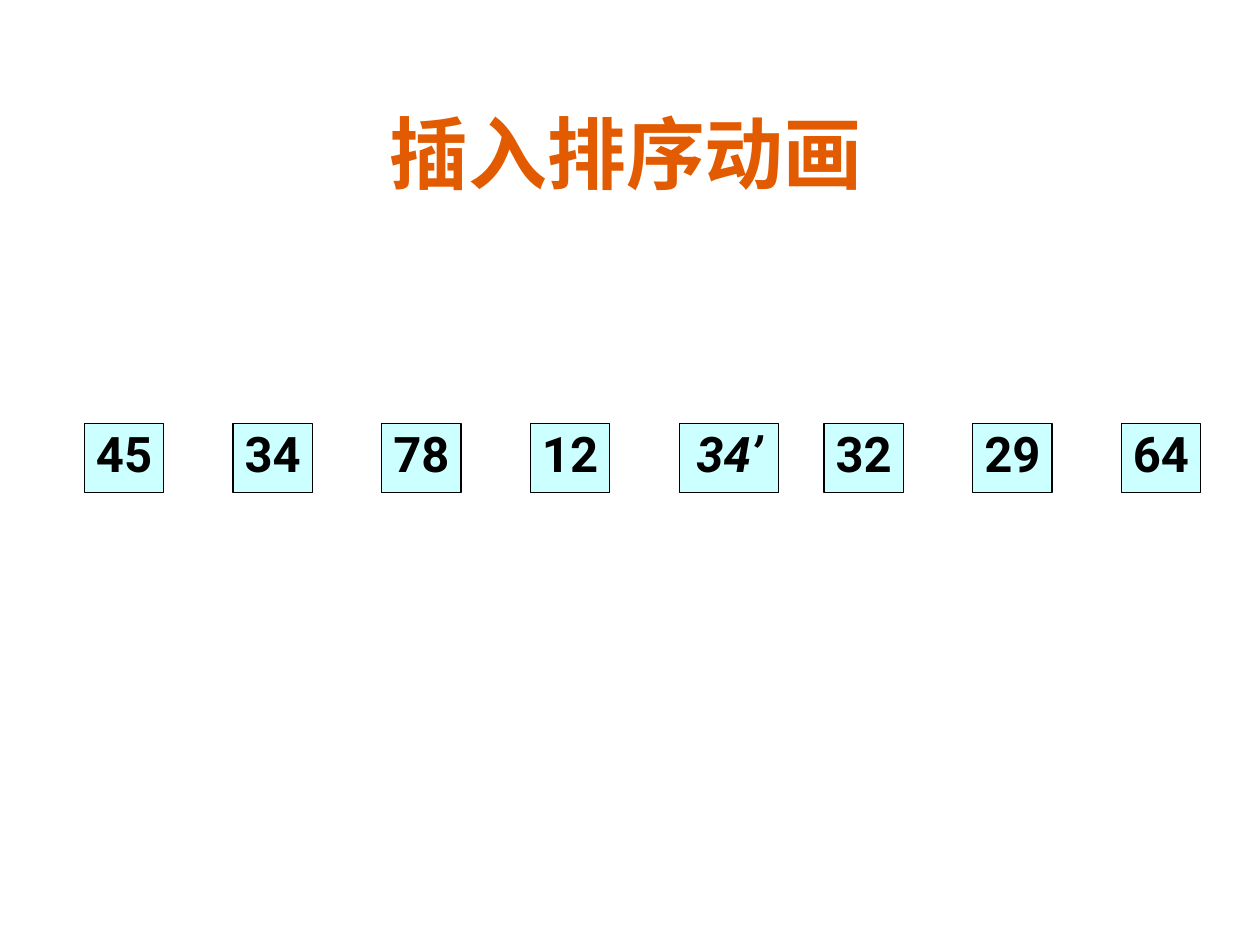
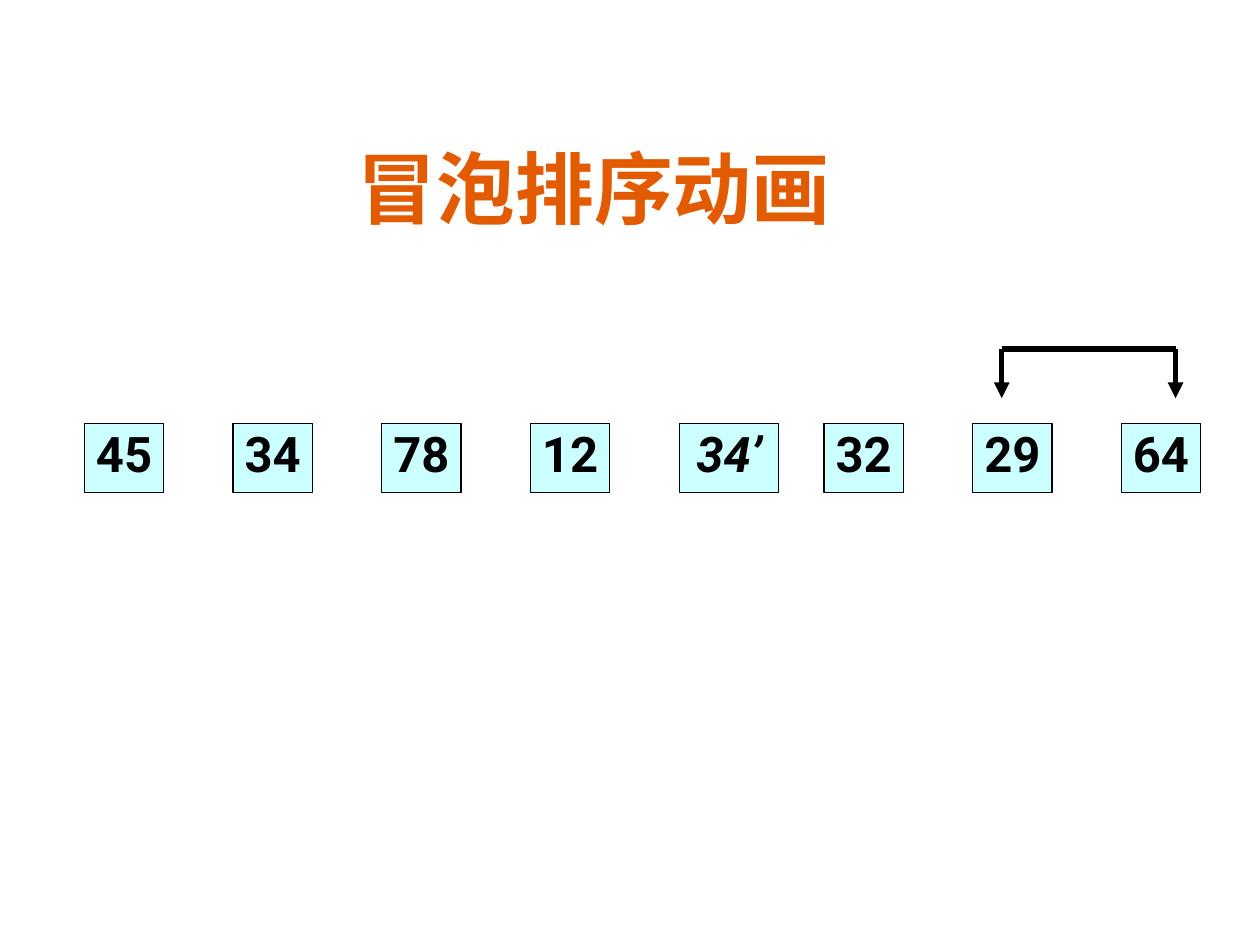
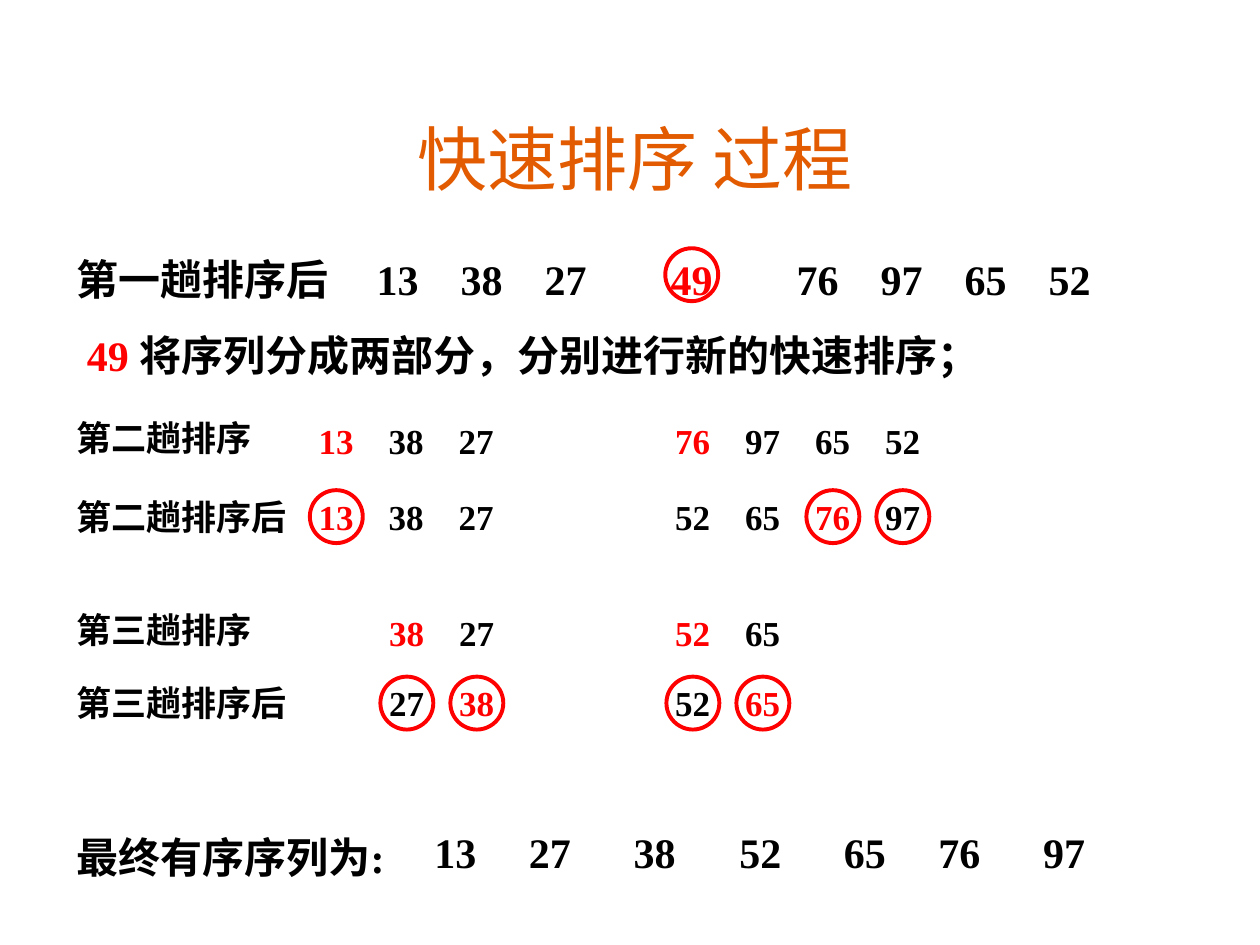
from dataclasses import dataclass

from lxml import etree
from pptx import Presentation
from pptx.dml.color import RGBColor
from pptx.enum.shapes import MSO_CONNECTOR, MSO_SHAPE
from pptx.enum.text import MSO_ANCHOR, MSO_AUTO_SIZE, PP_ALIGN
from pptx.oxml.ns import qn
from pptx.util import Inches, Pt

CENTER = PP_ALIGN.CENTER
BOTTOM, MIDDLE = MSO_ANCHOR.BOTTOM, MSO_ANCHOR.MIDDLE
GROW = MSO_AUTO_SIZE.SHAPE_TO_FIT_TEXT
RECTANGLE, OVAL = MSO_SHAPE.RECTANGLE, MSO_SHAPE.OVAL
STRAIGHT = MSO_CONNECTOR.STRAIGHT


@dataclass(frozen=True)
class Theme:
    title: RGBColor = RGBColor(0xE2, 0x5B, 0x00)
    ink: RGBColor = RGBColor(0, 0, 0)
    pivot: RGBColor = RGBColor(0xFF, 0, 0)
    cell: RGBColor = RGBColor(0xCC, 0xFF, 0xFF)
    title_font: str = "Comic Neue"
    cell_font: str = "Roboto"
    body_font: str = "Times New Roman"
    title_size: int = 45
    process_title_size: int = 40
    cell_size: int = 28
    large: int = 24
    small: int = 20


THEME = Theme()

# Row of values to be sorted
VALUES = ["45", "34", "78", "12", "34’", "32", "29", "64"]
CELL_LEFT, CELL_TOP, CELL_STEP = 0.67, 3.36, 1.18
CELL_WIDTH, WIDE_CELL_WIDTH, CELL_HEIGHT = 0.63, 0.79, 0.55
SHIFT_AFTER_WIDE = 0.03

# Columns of the sorting steps
LABEL_LEFT, LEFT_PART, RIGHT_PART = 0.51, 2.43, 5.26
LEFT_REST = 2.99
INSET = 0.1
RING = 0.42


def add_slide(deck):
    return deck.slides.add_slide(deck.slide_layouts[6])


def style_run(run, font, size, color, bold=True, italic=False):
    run.font.name = font
    run.font.size = Pt(size)
    run.font.color.rgb = color
    run.font.bold = bold
    run.font.italic = italic


def add_title(slide, text, top=0.75, left=0.75, width=8.58, height=0.83,
              size=THEME.title_size, bold=True):
    box = slide.shapes.add_textbox(*map(Inches, (left, top, width, height)))
    frame = box.text_frame
    frame.word_wrap = True
    frame.vertical_anchor = BOTTOM
    frame.margin_top = frame.margin_bottom = 0
    frame.text = text
    heading = frame.paragraphs[0]
    heading.alignment = CENTER
    style_run(heading.runs[0], THEME.title_font, size, THEME.title, bold)


def add_cell(slide, value, left, width):
    cell = slide.shapes.add_shape(
        RECTANGLE, *map(Inches, (left, CELL_TOP, width, CELL_HEIGHT)))
    cell.shadow.inherit = False
    cell.fill.solid()
    cell.fill.fore_color.rgb = THEME.cell
    cell.line.color.rgb = THEME.ink
    cell.line.width = Pt(0.75)
    frame = cell.text_frame
    frame.word_wrap = False
    frame.vertical_anchor = MIDDLE
    frame.text = value
    number = frame.paragraphs[0]
    number.alignment = CENTER
    number.line_spacing = 0.8
    number.space_before = Pt(7)
    style_run(number.runs[0], THEME.cell_font, THEME.cell_size, THEME.ink,
              italic=value.endswith("’"))


def add_value_row(slide):
    """Draw the unsorted values; the marked twin gets a wider cell."""
    wide = VALUES.index("34’")
    for column, value in enumerate(VALUES):
        left = CELL_LEFT + column * CELL_STEP
        if column > wide:
            left -= SHIFT_AFTER_WIDE
        add_cell(slide, value, left,
                 WIDE_CELL_WIDTH if column == wide else CELL_WIDTH)


def add_line(slide, start, end, arrow=False):
    line = slide.shapes.add_connector(STRAIGHT, *map(Inches, (*start, *end)))
    line.line.color.rgb = THEME.ink
    line.line.width = Pt(3)
    if arrow:
        etree.SubElement(line.line._get_or_add_ln(), qn("a:tailEnd"),
                         type="triangle")
    etree.SubElement(line._element.spPr, qn("a:effectLst"))


def add_swap_bracket(slide, left, right, top, bottom):
    add_line(slide, (left, top), (right, top))
    for x in (left, right):
        add_line(slide, (x, top), (x, bottom), arrow=True)


def add_text(slide, left, top, width, parts, size=THEME.small, stops=()):
    """Add one line of (text, colour) parts with tab stops in inches."""
    height = size / 60 + 0.1
    box = slide.shapes.add_textbox(*map(Inches, (left, top, width, height)))
    frame = box.text_frame
    frame.word_wrap = True
    frame.auto_size = GROW
    line = frame.paragraphs[0]
    line.space_before = Pt(size * 0.625)
    for text, color in parts:
        run = line.add_run()
        run.text = text
        style_run(run, THEME.body_font, size, color)
    if stops:
        tabs = etree.SubElement(line._p.get_or_add_pPr(), qn("a:tabLst"))
        for stop in stops:
            etree.SubElement(tabs, qn("a:tab"), pos=str(Inches(stop)),
                             algn="l")


def add_ring(slide, center, top):
    ring = slide.shapes.add_shape(
        OVAL, *map(Inches, (center - RING / 2, top, RING, RING)))
    ring.shadow.inherit = False
    ring.fill.background()
    ring.line.color.rgb = THEME.pivot
    ring.line.width = Pt(2.25)


def add_numbers(slide, left, top, width, numbers, pivots=(), ringed=(),
                size=THEME.small, columns=None, label=""):
    """Set numbers on tab stops, pivots in red, ringed ones in a circle."""
    digits = size / 72
    stops = columns or [2 * digits * i for i in range(len(numbers))]
    parts = [(label, THEME.ink)] if label else []
    for index, number in enumerate(numbers):
        tab = "\t" if label or index else ""
        color = THEME.pivot if number in pivots else THEME.ink
        parts.append((f"{tab}{number}", color))
    add_text(slide, left, top, width, parts, size,
             [stop for stop in stops if stop > 0])
    for number, stop in zip(numbers, stops):
        if number in ringed:
            add_ring(slide, left + INSET + stop + digits / 2, top + 0.01)


def add_label(slide, top, text, width=2, size=THEME.small):
    add_text(slide, LABEL_LEFT, top, width, [(text, THEME.ink)], size)


def add_quick_sort_steps(slide):
    large_step = 2 * THEME.large / 72
    add_numbers(slide, LABEL_LEFT, 1.96, 8.82,
                [13, 38, 27, 49, 76, 97, 65, 52], {49}, {49}, THEME.large,
                [2.38 + large_step * k for k in (0, 1, 2, 3.5, 5, 6, 7, 8)],
                "第一趟排序后")
    add_text(slide, 0.59, 2.57, 7.58,
             [("49 ", THEME.pivot),
              ("将序列分成两部分，分别进行新的快速排序；", THEME.ink)],
             THEME.large)

    for top, label in ((3.26, "第二趟排序"), (3.88, "第二趟排序后"),
                       (4.78, "第三趟排序"), (5.36, "第三趟排序后")):
        add_label(slide, top, label)

    for left, top, width, numbers, pivots, ringed in (
            (LEFT_PART, 3.28, 1.92, [13, 38, 27], {13}, ()),
            (RIGHT_PART, 3.28, 3, [76, 97, 65, 52], {76}, ()),
            (LEFT_PART, 3.88, 1.92, [13, 38, 27], {13}, {13}),
            (RIGHT_PART, 3.88, 3, [52, 65, 76, 97], {76}, {76, 97}),
            (LEFT_REST, 4.8, 1.42, [38, 27], {38}, ()),
            (RIGHT_PART, 4.8, 1.33, [52, 65], {52}, ()),
            (LEFT_REST, 5.36, 1.42, [27, 38], {38}, {27, 38}),
            (RIGHT_PART, 5.36, 1.33, [52, 65], {65}, {52, 65})):
        add_numbers(slide, left, top, width, numbers, pivots, ringed)

    add_label(slide, 6.55, "最终有序序列为:", 2.83, THEME.large)
    add_numbers(slide, 3.35, 6.51, 5.5, [13, 27, 38, 52, 65, 76, 97],
                size=THEME.large,
                columns=[0, 0.75, 1.58, 2.42, 3.25, 4, 4.83])


def main():
    deck = Presentation()
    deck.slide_width, deck.slide_height = Inches(10), Inches(7.5)

    insertion = add_slide(deck)
    add_title(insertion, "插入排序动画 ")
    add_value_row(insertion)

    bubble = add_slide(deck)
    add_title(bubble, "冒泡排序动画 ", 1.07, 0.67, 8.23, 0.79)
    add_value_row(bubble)
    add_swap_bracket(bubble, 7.95, 9.33, 2.77, 3.16)

    quick = add_slide(deck)
    add_quick_sort_steps(quick)
    add_title(quick, "快速排序 过程", size=THEME.process_title_size, bold=False)

    deck.save("out.pptx")


if __name__ == "__main__":
    main()
